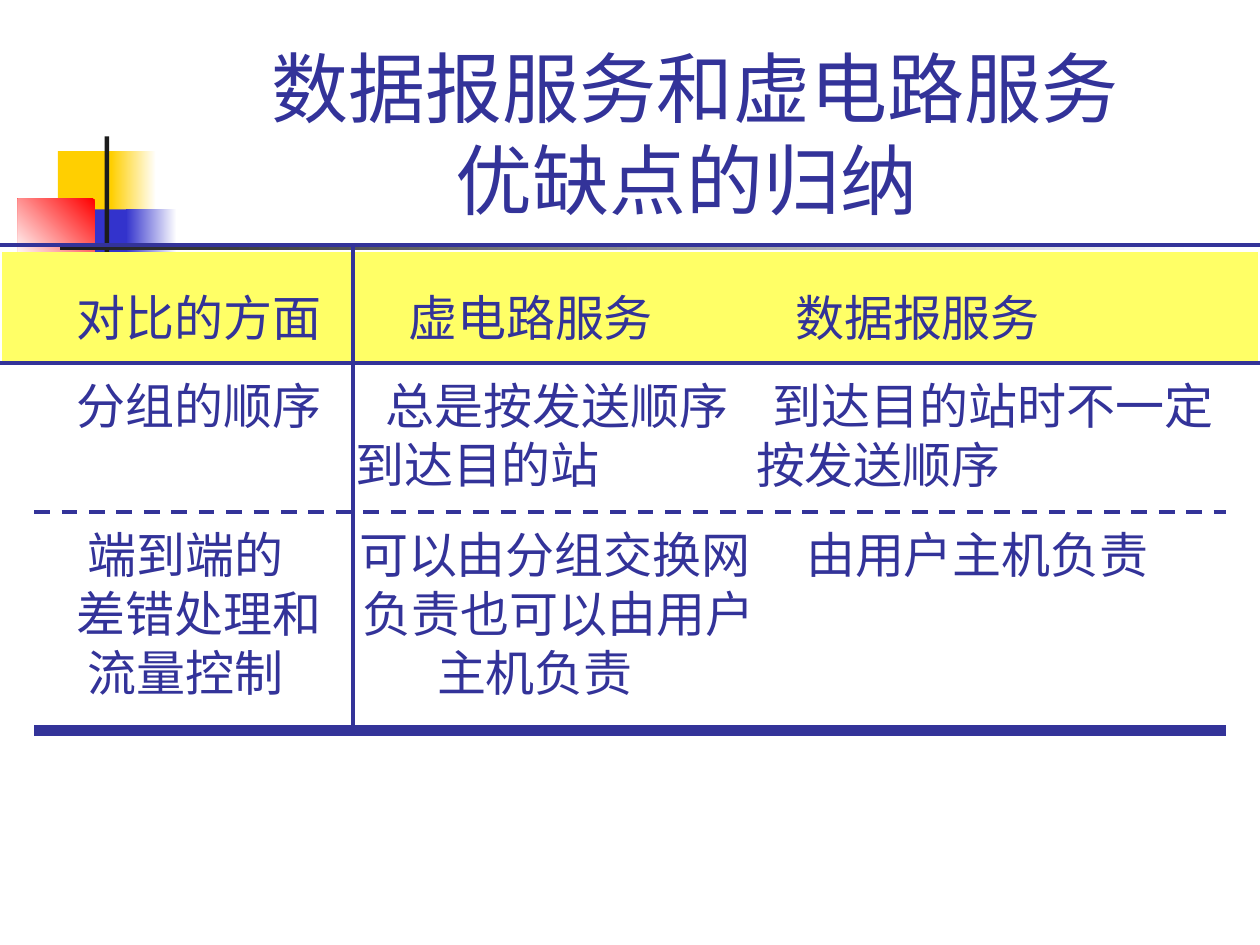
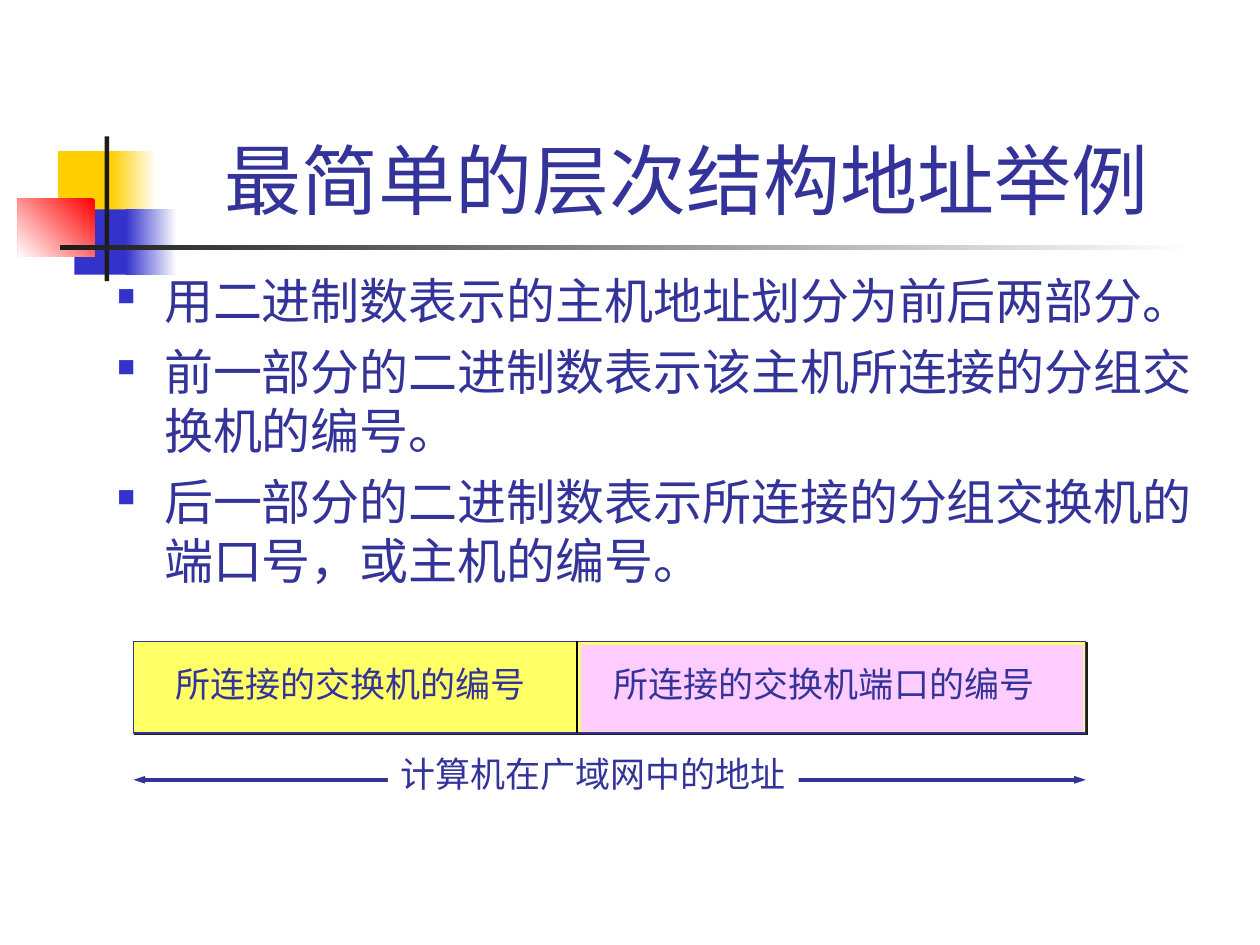
from lxml import etree
from pptx import Presentation
from pptx.dml.color import RGBColor
from pptx.enum.dml import MSO_LINE
from pptx.enum.shapes import MSO_CONNECTOR, MSO_SHAPE
from pptx.enum.text import MSO_ANCHOR, PP_ALIGN
from pptx.oxml.ns import qn
from pptx.util import Cm, Pt

RECTANGLE = MSO_SHAPE.RECTANGLE
STRAIGHT = MSO_CONNECTOR.STRAIGHT
DASH = MSO_LINE.DASH
BOTTOM = MSO_ANCHOR.BOTTOM
TOP = MSO_ANCHOR.TOP
CENTER = PP_ALIGN.CENTER

COLORS = {
    "text": "333399",
    "gold": "FFCF01",
    "blue": "3333CC",
    "red": "FF0000",
    "ink": "1C1C1C",
    "white": "FFFFFF",
    "black": "000000",
    "yellow": "FFFF66",
    "pink": "FFCCFF",
}
TITLE_FONT = BODY_FONT = "Arial"
TABLE_FONT = "Roboto"
LABEL_FONT = "Times New Roman"
TABLE_LINE_HEIGHT = 33.7
NO_TABLE_STYLE = "{2D5ABB26-0587-4C30-8999-92F81FD0307C}"

# Corner ornament: left, top, width, height, colours, gradient angle
ORNAMENT = [
    (1.17, 3.05, 1.22, 1.32, ["gold"], 0),
    (2.24, 3.05, 0.91, 1.32, ["white", "gold"], 180),
    (1.5, 4.22, 1.17, 1.32, ["blue"], 0),
    (2.54, 4.22, 1.02, 1.32, ["white", "blue"], 180),
    (0.36, 4.01, 1.55, 1.17, ["red", "white"], 225),
    (2.11, 2.75, 0.09, 2.92, ["ink"], 0),
    (1.22, 4.94, 22.86, 0.1, ["white", "ink"], 180),
]

# Comparison table: each cell holds lines of (indent, text)
COLUMN_WIDTHS = [7.06, 8.13, 10.11]
ROW_HEIGHTS = [2.24, 3, 4.41]
COMPARISON = [
    [
        [(1.5, "对比的方面")],
        [(1.12, "虚电路服务")],
        [(0.79, "数据报服务")],
    ],
    [
        [(1.5, "分组的顺序")],
        [(0.67, "总是按发送顺序"), (0.05, "到达目的站")],
        [(0.34, "到达目的站时不一定"), (0, "按发送顺序")],
    ],
    [
        [(1.72, "端到端的"), (1.5, "差错处理和"), (1.72, "流量控制")],
        [(0.13, "可以由分组交换网"), (0.2, "负责也可以由用户"), (1.7, "主机负责")],
        [(1.01, "由用户主机负责")],
    ],
]

ADDRESS_POINTS = [
    "用二进制数表示的主机地址划分为前后两部分。",
    "前一部分的二进制数表示该主机所连接的分组交换机的编号。",
    "后一部分的二进制数表示所连接的分组交换机的端口号，或主机的编号。",
]


def color(name):
    return RGBColor.from_string(COLORS[name])


def style_font(paragraph, name, size):
    paragraph.font.name = name
    paragraph.font.size = Pt(size)
    paragraph.font.color.rgb = color("text")


def add_rectangle(slide, left, top, width, height, colors, angle=0):
    shape = slide.shapes.add_shape(
        RECTANGLE, Cm(left), Cm(top), Cm(width), Cm(height))
    shape.shadow.inherit = False
    shape.line.fill.background()
    if len(colors) == 1:
        shape.fill.solid()
        shape.fill.fore_color.rgb = color(colors[0])
    else:
        shape.fill.gradient()
        shape.fill.gradient_angle = angle
        for stop, name in zip(shape.fill.gradient_stops, colors):
            stop.color.rgb = color(name)
    return shape


def add_rule(slide, x1, y1, x2, y2, width=2.25, name="text"):
    rule = slide.shapes.add_connector(
        STRAIGHT, Cm(x1), Cm(y1), Cm(x2), Cm(y2))
    rule.line.color.rgb = color(name)
    rule.line.width = Pt(width)
    etree.SubElement(rule._element.spPr, qn("a:effectLst"))
    return rule


def add_arrowheads(rule):
    line = rule.line._get_or_add_ln()
    for end in ("a:headEnd", "a:tailEnd"):
        etree.SubElement(line, qn(end), type="triangle", w="sm", len="med")


def add_hard_shadow(shape):
    effects = shape._element.spPr.find(qn("a:effectLst"))
    shadow = etree.SubElement(
        effects, qn("a:outerShdw"), dist=str(int(Pt(1.4))),
        dir=str(45 * 60000), algn="ctr", rotWithShape="0")
    etree.SubElement(shadow, qn("a:srgbClr"), val=COLORS["ink"])


def add_text(slide, left, top, width, height, lines, font, size,
             wrap=True, anchor=TOP):
    box = slide.shapes.add_textbox(Cm(left), Cm(top), Cm(width), Cm(height))
    frame = box.text_frame
    frame.word_wrap = wrap
    frame.vertical_anchor = anchor
    frame.text = "\n".join(lines)
    for paragraph in frame.paragraphs:
        style_font(paragraph, font, size)
    return box


def add_label(slide, left, top, width, text):
    return add_text(slide, left, top, width, 1.12, [text], LABEL_FONT, 20,
                    wrap=False)


def add_bullets(slide, left, top, width, height, points):
    box = add_text(slide, left, top, width, height, points, BODY_FONT, 28)
    for index, paragraph in enumerate(box.text_frame.paragraphs):
        if index:
            paragraph.space_before = Pt(7)
        properties = paragraph._p.get_or_add_pPr()
        properties.set("marL", str(int(Cm(0.95))))
        properties.set("indent", str(int(Cm(-0.95))))
        bullet_color = etree.Element(qn("a:buClr"))
        etree.SubElement(bullet_color, qn("a:srgbClr"), val=COLORS["blue"])
        bullet_parts = [
            bullet_color,
            etree.Element(qn("a:buSzPct"), val="50000"),
            etree.Element(qn("a:buChar"), char="■"),
        ]
        font_properties = properties.find(qn("a:defRPr"))
        for part in bullet_parts:
            font_properties.addprevious(part)


def fill_cell(cell, lines, is_header):
    cell.margin_left = cell.margin_right = cell.margin_bottom = 0
    cell.margin_top = Cm(0.79 if is_header else 0.33)
    if is_header:
        cell.fill.solid()
        cell.fill.fore_color.rgb = color("yellow")
    else:
        cell.fill.background()
    cell.text = "\n".join(text for _, text in lines)
    for paragraph, (indent, _) in zip(cell.text_frame.paragraphs, lines):
        paragraph._p.get_or_add_pPr().set("marL", str(int(Cm(indent))))
        paragraph.line_spacing = Pt(TABLE_LINE_HEIGHT)
        style_font(paragraph, TABLE_FONT, 28)


def add_comparison_table(slide, left, top):
    frame = slide.shapes.add_table(
        len(ROW_HEIGHTS), len(COLUMN_WIDTHS), Cm(left), Cm(top),
        Cm(sum(COLUMN_WIDTHS)), Cm(sum(ROW_HEIGHTS)))
    table = frame.table
    table.horz_banding = False
    table._tbl.tblPr.find(qn("a:tableStyleId")).text = NO_TABLE_STYLE
    for column, width in zip(table.columns, COLUMN_WIDTHS):
        column.width = Cm(width)
    for row, height in zip(table.rows, ROW_HEIGHTS):
        row.height = Cm(height)
    for row_index, row in enumerate(COMPARISON):
        for column_index, lines in enumerate(row):
            fill_cell(table.cell(row_index, column_index), lines,
                      row_index == 0)


def add_titled_slide(presentation, title):
    slide = presentation.slides.add_slide(presentation.slide_layouts[6])
    for left, top, width, height, colors, angle in ORNAMENT:
        add_rectangle(slide, left, top, width, height, colors, angle)
    box = add_text(slide, 3.2, 0.6, 21.64, 4.06, [title], TITLE_FONT, 44,
                   anchor=BOTTOM)
    box.text_frame.paragraphs[0].alignment = CENTER
    return slide


def build_comparison_slide(presentation):
    slide = add_titled_slide(
        presentation, "数据报服务和虚电路服务\v优缺点的归纳 ")
    add_comparison_table(slide, 0.05, 5.08)
    # Rules around the header, between the rows and columns, and below
    for y in (4.93, 7.32):
        add_rule(slide, 0, y, 25.4, y)
    add_rule(slide, 7.11, 4.93, 7.11, 14.73)
    add_rule(slide, 0.69, 14.73, 24.71, 14.73, width=6)
    add_rule(slide, 0.69, 10.32, 24.71, 10.32).line.dash_style = DASH


def build_address_slide(presentation):
    slide = add_titled_slide(presentation, "最简单的层次结构地址举例 ")
    add_bullets(slide, 2.11, 5.33, 22.38, 7.21, ADDRESS_POINTS)

    # Address field split into switch number and port number
    left, top, width, height = 2.69, 12.93, 19.2, 1.85
    address = add_rectangle(slide, left, top, width, height, ["yellow"])
    address.line.color.rgb = color("text")
    address.line.width = Pt(0.75)
    add_hard_shadow(address)
    add_rectangle(slide, 11.71, 13, 10.13, 1.75, ["pink"])
    add_label(slide, 3.28, 13.23, 7.57, "所连接的交换机的编号")
    add_label(slide, 12.12, 13.23, 8.99, "所连接的交换机端口的编号")

    # Extent of the whole address
    add_arrowheads(add_rule(slide, left, 15.72, left + width, 15.72))
    add_rule(slide, 11.63, top, 11.63, top + height, 0.75, "black")
    caption = add_label(slide, 7.82, 15.04, 8.28, "计算机在广域网中的地址")
    caption.fill.solid()
    caption.fill.fore_color.rgb = color("white")


def main():
    presentation = Presentation()
    presentation.slide_width = Cm(25.4)
    presentation.slide_height = Cm(19.05)
    build_comparison_slide(presentation)
    build_address_slide(presentation)
    presentation.save("out.pptx")


if __name__ == "__main__":
    main()
